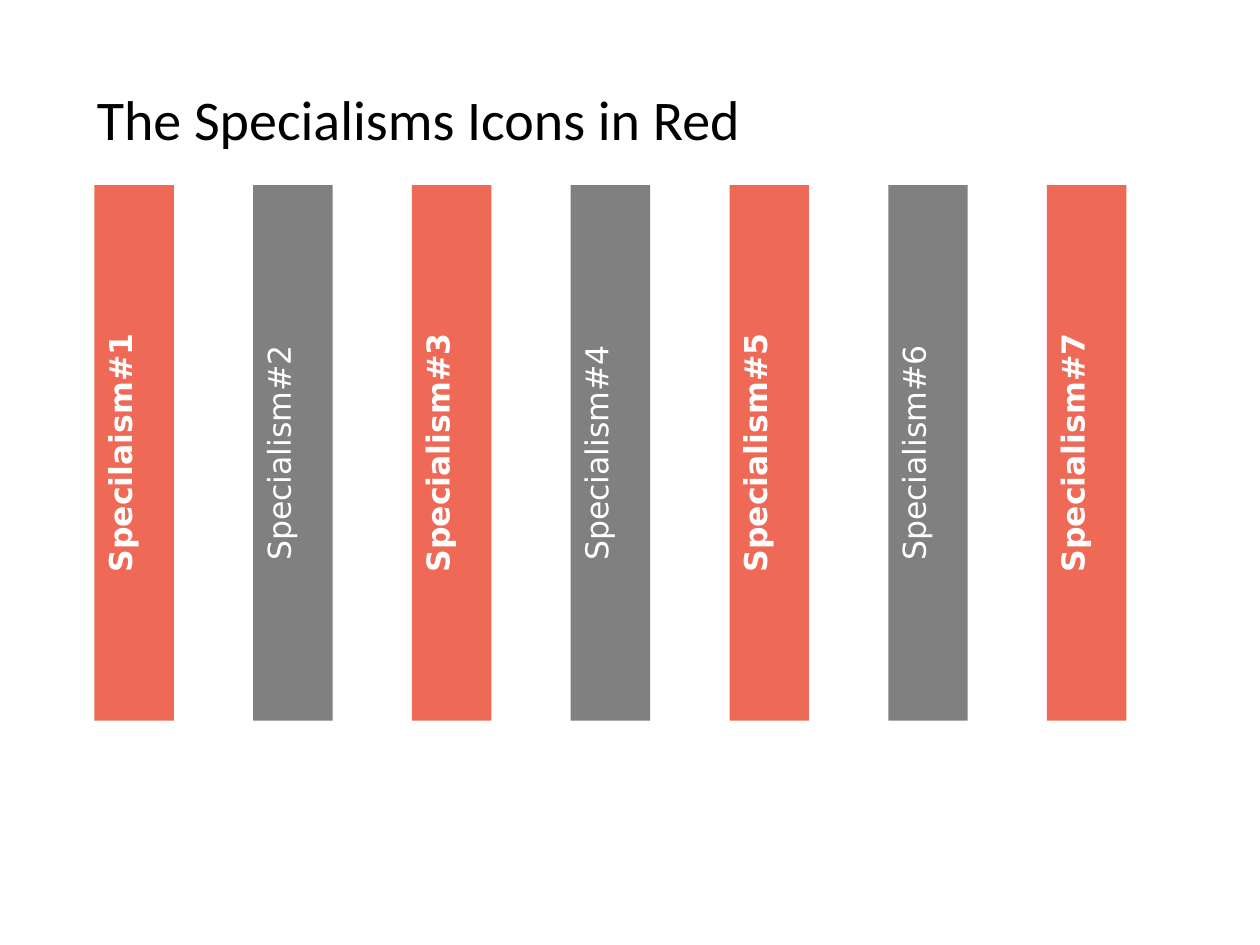
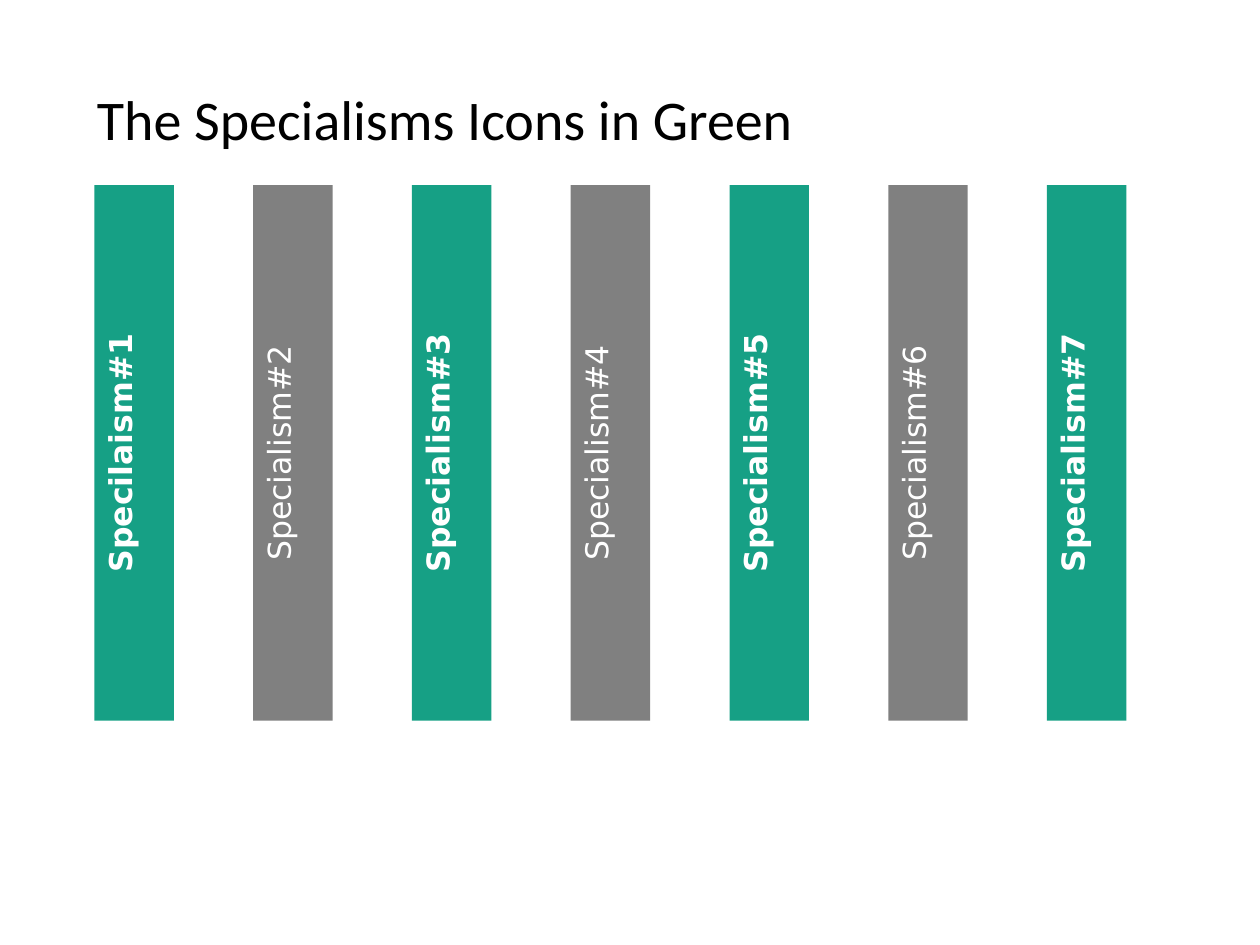
"""Build two slides of upright specialism bars, one in red and one in green."""

from dataclasses import dataclass

from pptx import Presentation
from pptx.dml.color import RGBColor
from pptx.enum.shapes import MSO_SHAPE
from pptx.enum.text import MSO_ANCHOR, MSO_AUTO_SIZE, PP_ALIGN
from pptx.util import Inches, Pt

RED = RGBColor(0xEF, 0x69, 0x57)
GREEN = RGBColor(0x16, 0xA0, 0x85)
GREY = RGBColor(0x80, 0x80, 0x80)
WHITE = RGBColor(0xFF, 0xFF, 0xFF)
BLACK = RGBColor(0x00, 0x00, 0x00)

RECTANGLE = MSO_SHAPE.RECTANGLE
TOP = MSO_ANCHOR.TOP
CENTER = PP_ALIGN.CENTER
FIT_SHAPE = MSO_AUTO_SIZE.SHAPE_TO_FIT_TEXT

SLIDE_WIDTH, SLIDE_HEIGHT = Inches(10), Inches(7.5)
COLUMN = Inches(0.63)
BARS_LEFT, BARS_TOP, BAR_HEIGHT = Inches(0.75), Inches(1.47), Inches(4.25)
TITLE_LEFT, TITLE_TOP, TITLE_HEIGHT = Inches(0.67), Inches(0.62), Inches(0.64)

TITLE_FORMAT = {"name": "Calibri", "size": Pt(32), "bold": False}
BAR_FORMAT = {"name": "DejaVu Sans", "size": Pt(18)}
LABELS = ["Specilaism#1"] + [f"Specialism#{number}" for number in range(2, 8)]


@dataclass(frozen=True)
class IconSlide:
    """Hold the title, its width and the accent colour of one slide."""

    title: str
    title_width: float
    accent: RGBColor


@dataclass(frozen=True)
class Bar:
    """Hold the label, grid column and look of one bar."""

    label: str
    column: int
    fill: RGBColor
    bold: bool


ICON_SLIDES = (
    IconSlide("The Specialisms Icons in Red", 5.36, RED),
    IconSlide("The Specialisms Icons in Green", 5.78, GREEN),
)


def write_text(paragraph, text: str, color: RGBColor, font_format: dict) -> None:
    """Add one formatted run to a paragraph."""
    run = paragraph.add_run()
    run.text = text
    for name, value in font_format.items():
        setattr(run.font, name, value)
    run.font.color.rgb = color


def draw_title(slide, icon_slide: IconSlide) -> None:
    """Draw the slide title as an unwrapped text box."""
    shape = slide.shapes.add_textbox(
        TITLE_LEFT, TITLE_TOP, Inches(icon_slide.title_width), TITLE_HEIGHT
    )
    frame = shape.text_frame
    frame.word_wrap = False
    frame.auto_size = FIT_SHAPE
    write_text(frame.paragraphs[0], icon_slide.title, BLACK, TITLE_FORMAT)


def draw_bar(slide, bar: Bar) -> None:
    """Draw one bar whose label reads upwards."""
    shape = slide.shapes.add_shape(
        RECTANGLE, BARS_LEFT + bar.column * COLUMN, BARS_TOP, COLUMN, BAR_HEIGHT
    )
    shape.shadow.inherit = False
    shape.fill.solid()
    shape.fill.fore_color.rgb = bar.fill
    shape.line.fill.background()
    frame = shape.text_frame
    frame.vertical_anchor = TOP
    frame._txBody.bodyPr.set("vert", "vert270")
    paragraph = frame.paragraphs[0]
    paragraph.alignment = CENTER
    write_text(paragraph, bar.label, WHITE, {**BAR_FORMAT, "bold": bar.bold})


def make_bars(accent: RGBColor) -> list[Bar]:
    """Alternate bold accent bars with plain grey ones, one column apart."""
    return [
        Bar(label, 2 * index, GREY if index % 2 else accent, index % 2 == 0)
        for index, label in enumerate(LABELS)
    ]


def main() -> None:
    """Build and save the presentation."""
    presentation = Presentation()
    presentation.slide_width = SLIDE_WIDTH
    presentation.slide_height = SLIDE_HEIGHT
    blank_layout = presentation.slide_layouts[6]
    for icon_slide in ICON_SLIDES:
        slide = presentation.slides.add_slide(blank_layout)
        for bar in make_bars(icon_slide.accent):
            draw_bar(slide, bar)
        draw_title(slide, icon_slide)
    presentation.save("out.pptx")


main()
